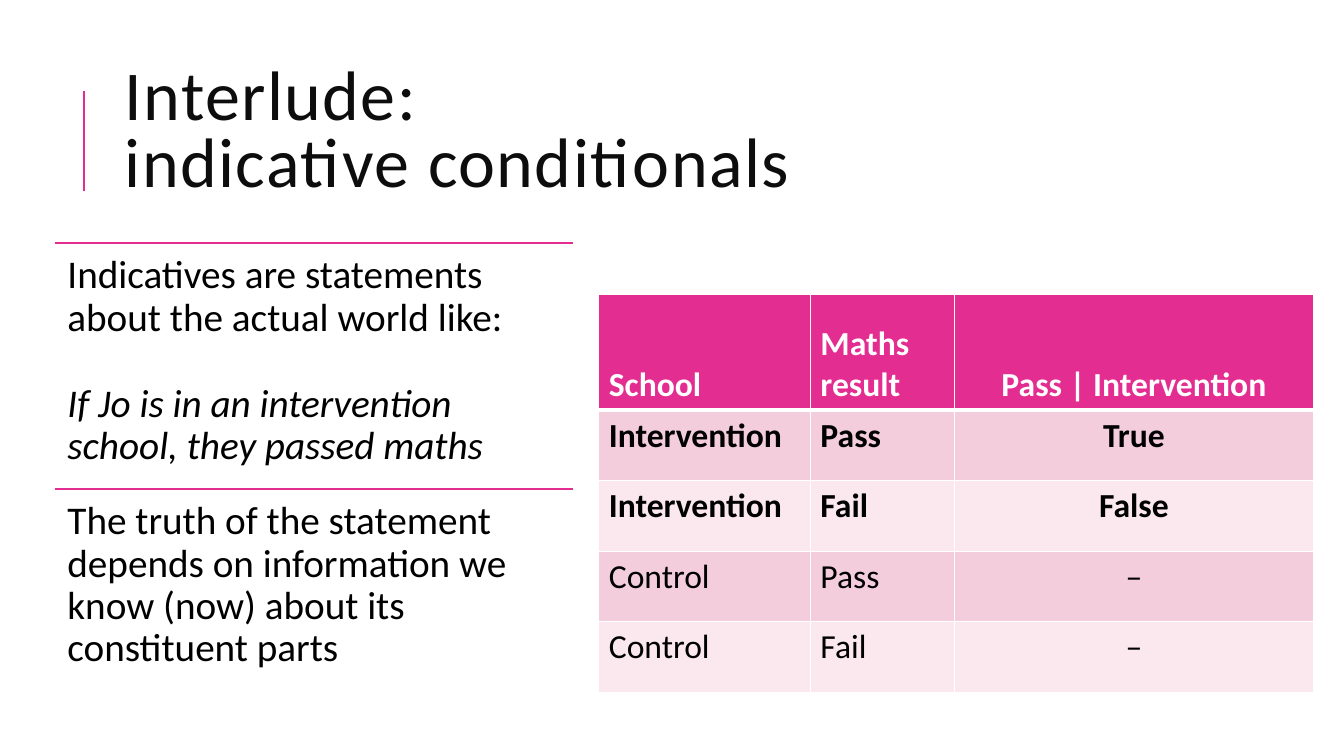
from lxml import etree
from pptx import Presentation
from pptx.dml.color import RGBColor
from pptx.enum.shapes import MSO_CONNECTOR
from pptx.enum.text import MSO_ANCHOR, PP_ALIGN
from pptx.oxml.ns import qn
from pptx.util import Inches, Pt

STRAIGHT = MSO_CONNECTOR.STRAIGHT
TOP, MIDDLE, BOTTOM = MSO_ANCHOR.TOP, MSO_ANCHOR.MIDDLE, MSO_ANCHOR.BOTTOM
LEFT, CENTER = PP_ALIGN.LEFT, PP_ALIGN.CENTER

PINK = RGBColor(0xE3, 0x2D, 0x91)
ROW_FILLS = [RGBColor(0xF4, 0xCD, 0xDC), RGBColor(0xFA, 0xE8, 0xEE)]
WHITE = RGBColor(0xFF, 0xFF, 0xFF)
BLACK = RGBColor(0, 0, 0)
TITLE_COLOR = RGBColor(0x0D, 0x0D, 0x0D)

SLIDE_WIDTH, SLIDE_HEIGHT = Inches(13.33), Inches(7.5)

# Positions and sizes are percentages of the slide's width and height
PANEL_LEFT, PANEL_TOP, PANEL_WIDTH, PANEL_HEIGHT = 4.12, 32.13, 38.55, 32.53
COLUMN_WIDTHS = [15.75, 10.72, 26.7]
HEADER_HEIGHT, ROW_HEIGHT = 15.33, 9.33

PANELS = [
    [("Indicatives are statements about the actual world like:", False),
     ("If Jo is in an intervention school, they passed maths", True)],
    [("The truth of the statement depends on information we know (now) "
      "about its constituent parts", False)],
]
TRUTH_TABLE = [
    ["School", "Maths result", "Pass | Intervention"],
    ["Intervention", "Pass", "True"],
    ["Intervention", "Fail", "False"],
    ["Control", "Pass", "–"],
    ["Control", "Fail", "–"],
]


def across(percent):
    return round(SLIDE_WIDTH * percent / 100)


def down(percent):
    return round(SLIDE_HEIGHT * percent / 100)


def set_font(font, color, **values):
    font.color.rgb = color
    for name, value in {"name": "Calibri", **values}.items():
        setattr(font, name, value)


def add_line(slide, start, end, width):
    line = slide.shapes.add_connector(
        STRAIGHT, across(start[0]), down(start[1]), across(end[0]), down(end[1]))
    line.line.color.rgb = PINK
    line.line.width = Pt(width)
    etree.SubElement(line._element.spPr, qn("a:effectLst"))


def add_text_frame(slide, left, top, width, height, anchor, margin):
    box = slide.shapes.add_textbox(
        across(left), down(top), across(width), down(height))
    frame = box.text_frame
    frame.word_wrap = True
    frame.vertical_anchor = anchor
    for side in ("left", "right", "top", "bottom"):
        setattr(frame, f"margin_{side}", Inches(margin))
    return frame


def add_title(slide):
    add_line(slide, (6.25, 25.33), (6.25, 12), 1.5)
    frame = add_text_frame(slide, 8.55, 6.8, 79.72, 21.87, MIDDLE, 0.1)
    paragraph = frame.paragraphs[0]
    paragraph.line_spacing = 0.8
    paragraph.text = "Interlude:\vindicative conditionals"
    for run in paragraph.runs:
        set_font(run.font, TITLE_COLOR, size=Pt(50))
        run.font._element.set("spc", "100")


def add_panel(slide, top, statements):
    """Add a text panel with a rule along its top edge."""
    add_line(slide, (PANEL_LEFT, top), (PANEL_LEFT + PANEL_WIDTH, top), 1.25)
    frame = add_text_frame(
        slide, PANEL_LEFT, top, PANEL_WIDTH, PANEL_HEIGHT, TOP, 0.12)
    for index, (text, italic) in enumerate(statements):
        paragraph = frame.add_paragraph() if index else frame.paragraphs[0]
        paragraph.line_spacing = 0.9
        paragraph.space_before = Pt(31 if index else 0)
        run = paragraph.add_run()
        run.text = text
        set_font(run.font, BLACK, size=Pt(28), italic=italic)


def add_borders(cell, bottom_width, top_width):
    properties = cell._tc.get_or_add_tcPr()
    widths = {"lnL": 1, "lnR": 1, "lnT": top_width, "lnB": bottom_width}
    for index, (tag, width) in enumerate(widths.items()):
        border = etree.Element(qn(f"a:{tag}"), w=str(Pt(width)))
        fill = etree.SubElement(border, qn("a:solidFill"))
        etree.SubElement(fill, qn("a:srgbClr"), val=str(WHITE))
        properties.insert(index, border)


def fill_cell(cell, text, row, column):
    header = row == 0
    cell.fill.solid()
    cell.fill.fore_color.rgb = PINK if header else ROW_FILLS[(row - 1) % 2]
    cell.vertical_anchor = BOTTOM if header else TOP
    add_borders(cell, 3 if header else 1, 3 if row == 1 else 1)
    paragraph = cell.text_frame.paragraphs[0]
    paragraph.alignment = CENTER if column == 2 else LEFT
    run = paragraph.add_run()
    run.text = text
    set_font(run.font, WHITE if header else BLACK, size=Pt(24), bold=row < 3)


def add_truth_table(slide):
    heights = [HEADER_HEIGHT] + [ROW_HEIGHT] * (len(TRUTH_TABLE) - 1)
    table = slide.shapes.add_table(
        len(heights), len(COLUMN_WIDTHS), across(44.55), down(38.93),
        across(sum(COLUMN_WIDTHS)), down(sum(heights))).table
    for column, width in zip(table.columns, COLUMN_WIDTHS):
        column.width = across(width)
    for row, height in zip(table.rows, heights):
        row.height = down(height)
    for row, texts in enumerate(TRUTH_TABLE):
        for column, text in enumerate(texts):
            fill_cell(table.cell(row, column), text, row, column)


def main():
    presentation = Presentation()
    presentation.slide_width = SLIDE_WIDTH
    presentation.slide_height = SLIDE_HEIGHT
    slide = presentation.slides.add_slide(presentation.slide_layouts[6])
    add_title(slide)
    for index, statements in enumerate(PANELS):
        add_panel(slide, PANEL_TOP + index * PANEL_HEIGHT, statements)
    add_truth_table(slide)
    presentation.save("out.pptx")


if __name__ == "__main__":
    main()
